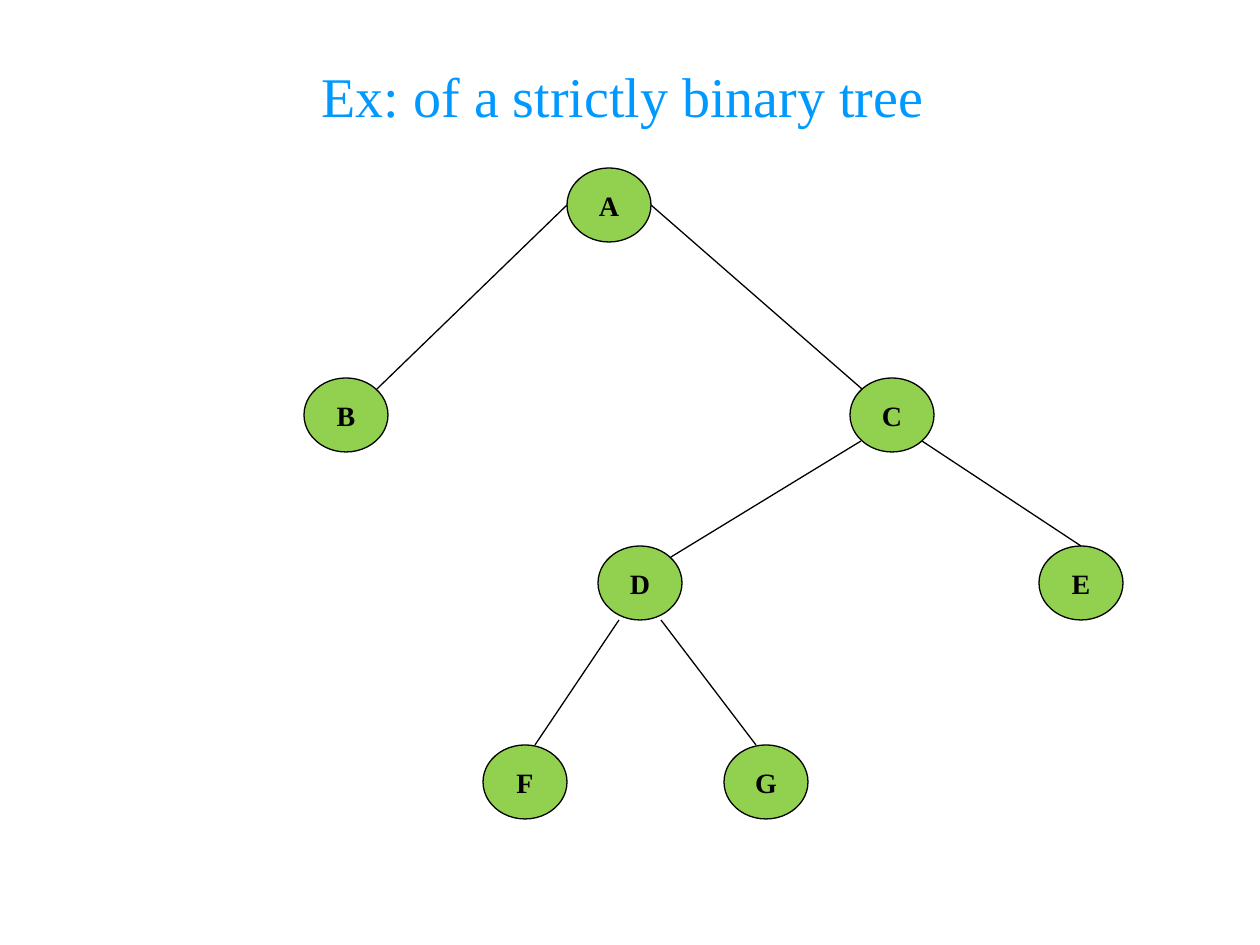
from pptx import Presentation
from pptx.dml.color import RGBColor
from pptx.enum.shapes import MSO_CONNECTOR, MSO_SHAPE
from pptx.enum.text import MSO_ANCHOR, PP_ALIGN
from pptx.oxml.ns import qn
from pptx.util import Pt
from lxml import etree

ELLIPSE = MSO_SHAPE.OVAL
STRAIGHT = MSO_CONNECTOR.STRAIGHT
MIDDLE = MSO_ANCHOR.MIDDLE
CENTER = PP_ALIGN.CENTER

EMU_PER_PX = 914400 / 126
FONT = "Times New Roman"
BLACK, GREEN, BLUE = "000000", "92D050", "0099FF"
NODE_WIDTH, NODE_HEIGHT = 84, 74

# Top left corner of each node, relative to the tree
NODES = {
    "A": (263, 0),
    "B": (0, 210),
    "C": (546, 210),
    "D": (294, 378),
    "E": (735, 378),
    "F": (179, 577),
    "G": (420, 577),
}

# Points on a node where an edge can end, relative to the node
PORTS = {
    "left": (0, 37),
    "right": (84, 37),
    "top": (42, 0),
    "top left": (12, 11),
    "top right": (73, 11),
    "bottom left": (11, 63),
    "bottom right": (72, 63),
    "under left": (21, 74),
    "under right": (63, 74),
    "over left": (32, 0),
    "over right": (52, 0),
}

EDGES = [
    ("A", "left", "B", "top right"),
    ("A", "right", "C", "top left"),
    ("C", "bottom left", "D", "top right"),
    ("C", "bottom right", "E", "top"),
    ("D", "under left", "F", "over right"),
    ("D", "under right", "G", "over left"),
]


def px(value):
    return round(value * EMU_PER_PX)


def color(value):
    return RGBColor.from_string(value)


def set_text(shape, text, size, text_color, bold=False):
    frame = shape.text_frame
    frame.text = text
    frame.vertical_anchor = MIDDLE
    para = frame.paragraphs[0]
    para.alignment = CENTER
    font = para.runs[0].font
    font.name, font.size, font.bold = FONT, Pt(size), bold
    font.color.rgb = color(text_color)


def set_line(shape):
    shape.line.color.rgb = color(BLACK)
    shape.line.width = Pt(0.75)


def add_title(page, left, top, width, height):
    box = page.shapes.add_textbox(px(left), px(top), px(width), px(height))
    box.text_frame.word_wrap = True
    set_text(box, "Ex: of a strictly binary tree ", 32, BLUE)


def add_node(page, left, top, label):
    node = page.shapes.add_shape(
        ELLIPSE, px(left), px(top), px(NODE_WIDTH), px(NODE_HEIGHT))
    node.shadow.inherit = False
    node.fill.solid()
    node.fill.fore_color.rgb = color(GREEN)
    set_line(node)
    set_text(node, label, 16, BLACK, bold=True)
    node.text_frame.word_wrap = False


def add_edge(page, start, end):
    edge = page.shapes.add_connector(
        STRAIGHT, *(px(value) for value in (*start, *end)))
    set_line(edge)
    etree.SubElement(edge._element.spPr, qn("a:effectLst"))


def add_tree(page, left, top):
    def port_position(label, port):
        node_x, node_y = NODES[label]
        port_x, port_y = PORTS[port]
        return left + node_x + port_x, top + node_y + port_y

    for label, (node_x, node_y) in NODES.items():
        add_node(page, left + node_x, top + node_y, label)
    for parent, parent_port, child, child_port in EDGES:
        add_edge(page, port_position(parent, parent_port),
                 port_position(child, child_port))


def main():
    deck = Presentation()
    deck.slide_width, deck.slide_height = px(1260), px(945)
    page = deck.slides.add_slide(deck.slide_layouts[6])
    add_title(page, 63, 53, 1134, 84)
    add_tree(page, 304, 168)
    deck.save("out.pptx")


if __name__ == "__main__":
    main()
